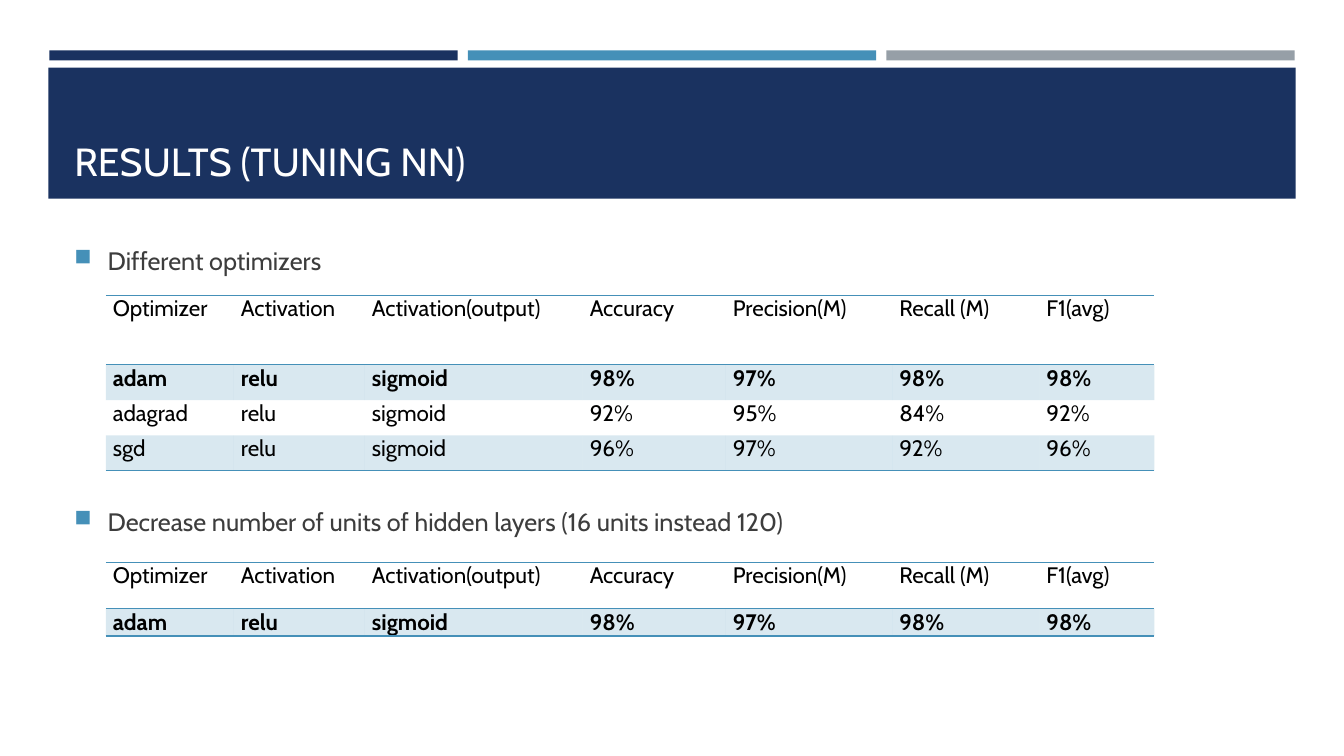
from dataclasses import dataclass

from lxml.etree import SubElement
from pptx import Presentation
from pptx.dml.color import RGBColor
from pptx.enum.shapes import MSO_SHAPE
from pptx.enum.text import MSO_ANCHOR
from pptx.oxml import parse_xml
from pptx.oxml.ns import nsdecls, qn
from pptx.util import Inches, Pt


@dataclass(frozen=True)
class Theme:
    font: str = "Cabin"
    navy: str = "1A3260"
    blue: str = "4590B8"
    gray: str = "969FA7"
    white: str = "FFFFFF"
    black: str = "000000"
    body: str = "3D3D3D"
    title_size: int = 28
    body_size: int = 18
    table_size: int = 16
    band_alpha: int = 20
    rule_width: int = 1


class SlideBuilder:
    def __init__(self, slide, theme):
        self.slide = slide
        self.theme = theme

    def style(self, p, size, color, bold=False):
        p.font.name = self.theme.font
        p.font.size = Pt(size)
        p.font.bold = bold
        p.font.color.rgb = RGBColor.from_string(color)

    def bar(self, x, y, w, h, color):
        sp = self.slide.shapes.add_shape(
            MSO_SHAPE.RECTANGLE, Inches(x), Inches(y), Inches(w), Inches(h))
        sp.shadow.inherit = False
        sp.fill.solid()
        sp.fill.fore_color.rgb = RGBColor.from_string(color)
        sp.line.fill.background()

    def text_frame(self, x, y, w, h, anchor):
        box = self.slide.shapes.add_textbox(Inches(x), Inches(y), Inches(w), Inches(h))
        tf = box.text_frame
        tf.word_wrap = True
        tf.vertical_anchor = anchor
        return tf

    def title(self, text, x, y, w, h):
        p = self.text_frame(x, y, w, h, MSO_ANCHOR.BOTTOM).paragraphs[0]
        p.text = text
        self.style(p, self.theme.title_size, self.theme.white)

    def bullets(self, items, x, y, w, h, gap):
        tf = self.text_frame(x, y, w, h, MSO_ANCHOR.TOP)
        for i, text in enumerate(items):
            p = tf.add_paragraph() if i else tf.paragraphs[0]
            p.text = text
            p.space_before = Pt(gap if i else 0)
            p.space_after = Pt(6)
            self.style(p, self.theme.body_size, self.theme.body)
            self.square_bullet(p)

    def square_bullet(self, p):
        pPr = p._p.get_or_add_pPr()
        pPr.set("marL", str(Inches(0.33)))
        pPr.set("indent", str(-Inches(0.33)))
        marks = (
            f'<a:buClr {nsdecls("a")}><a:srgbClr val="{self.theme.blue}"/></a:buClr>',
            f'<a:buSzPct {nsdecls("a")} val="92000"/>',
            f'<a:buChar {nsdecls("a")} char="■"/>',
        )
        for mark in marks:
            pPr.insert_element_before(parse_xml(mark), "a:tabLst", "a:defRPr", "a:extLst")

    def table(self, rows, x, y, widths, heights):
        frame = self.slide.shapes.add_table(
            len(rows), len(widths), Inches(x), Inches(y),
            Inches(sum(widths)), Inches(sum(heights)))
        table = frame.table
        table.first_row = table.horz_banding = False
        # The "No Style, No Grid" table style
        table._tbl.tblPr.find(qn("a:tableStyleId")).text = \
            "{2D5ABB26-0587-4C30-8999-92F81FD0307C}"
        for column, width in zip(table.columns, widths):
            column.width = Inches(width)
        for row, height in zip(table.rows, heights):
            row.height = Inches(height)
        last = len(rows) - 1
        for i, values in enumerate(rows):
            rules = ["lnT"] * (i == 0) + ["lnB"] * (i in (0, last))
            for j, value in enumerate(values):
                cell = table.cell(i, j)
                self.fill_cell(cell, value, bold=i == 1, band=i % 2 == 1)
                self.rule_cell(cell, rules)

    def fill_cell(self, cell, text, bold, band):
        cell.margin_left = cell.margin_right = Inches(0.07)
        cell.margin_top = cell.margin_bottom = 0
        p = cell.text_frame.paragraphs[0]
        p.text = text
        self.style(p, self.theme.table_size, self.theme.black, bold)
        if not band:
            cell.fill.background()
            return
        cell.fill.solid()
        cell.fill.fore_color.rgb = RGBColor.from_string(self.theme.blue)
        color = cell._tc.tcPr.find(".//" + qn("a:srgbClr"))
        SubElement(color, qn("a:alpha"), val=str(self.theme.band_alpha * 1000))

    def rule_cell(self, cell, rules):
        for i, side in enumerate(rules):
            cell._tc.tcPr.insert(i, parse_xml(
                f'<a:{side} {nsdecls("a")} w="{Pt(self.theme.rule_width)}">'
                f'<a:solidFill><a:srgbClr val="{self.theme.blue}"/></a:solidFill>'
                f'</a:{side}>'))


def main():
    prs = Presentation()
    prs.slide_width, prs.slide_height = Inches(13.33), Inches(7.5)
    theme = Theme()
    s = SlideBuilder(prs.slides.add_slide(prs.slide_layouts[6]), theme)

    # Header bars and title
    for i, color in enumerate((theme.navy, theme.blue, theme.gray)):
        s.bar(0.49 + 4.15 * i, 0.5, 4.05, 0.1, color)
    s.bar(0.48, 0.67, 12.37, 1.3, theme.navy)
    s.title("RESULTS (TUNING NN)", 0.64, 0.77, 12.06, 1.11)

    # Section headings
    s.bullets(
        ["Different optimizers",
         "Decrease number of units of hidden layers (16 units instead 120)"],
        0.64, 2.38, 12.06, 4.02, gap=159)

    # Result tables
    header = ["Optimizer", "Activation", "Activation(output)", "Accuracy",
              "Precision(M)", "Recall (M)", "F1(avg)"]
    adam = ["adam", "relu", "sigmoid", "98%", "97%", "98%", "98%"]
    adagrad = ["adagrad", "relu", "sigmoid", "92%", "95%", "84%", "92%"]
    sgd = ["sgd", "relu", "sigmoid", "96%", "97%", "92%", "96%"]
    widths = [1.27, 1.3, 2.16, 1.42, 1.65, 1.46, 1.14]
    s.table([header, adam, adagrad, sgd], 1.05, 2.93, widths, [0.69] + [0.35] * 3)
    s.table([header, adam], 1.05, 5.58, widths, [0.46, 0.27])

    prs.save("out.pptx")


if __name__ == "__main__":
    main()
